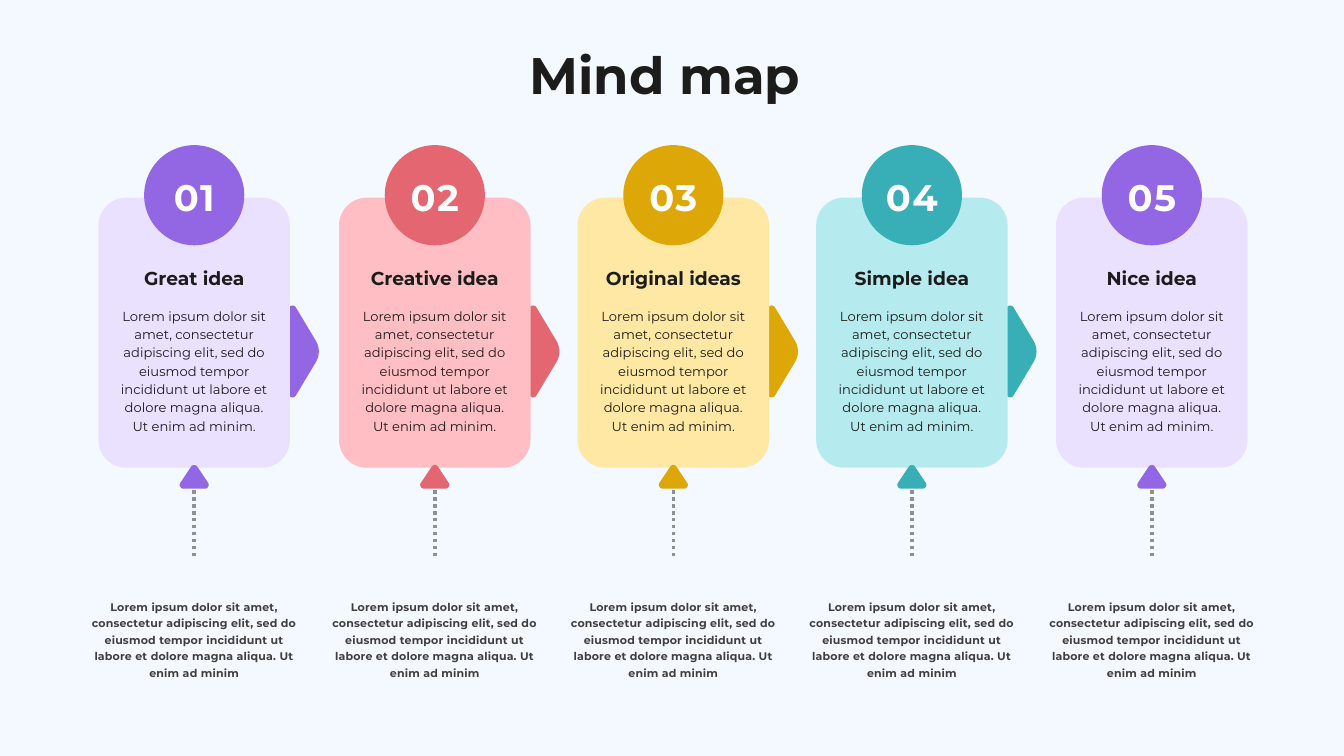
from lxml.etree import SubElement
from pptx import Presentation
from pptx.dml.color import RGBColor
from pptx.enum.dml import MSO_LINE
from pptx.enum.shapes import MSO_CONNECTOR, MSO_SHAPE
from pptx.enum.text import MSO_AUTO_SIZE, PP_ALIGN
from pptx.oxml.ns import qn
from pptx.util import Inches, Pt

COLUMNS, ROWS = 20, 11.25
BACKGROUND = RGBColor(0xF4, 0xF8, 0xFF)
INK = RGBColor(0x1C, 0x1C, 0x1A)
DARK_GREY = RGBColor(0x40, 0x3F, 0x3F)
GREY = RGBColor(0x8D, 0x91, 0x93)
WHITE = RGBColor(0xFF, 0xFF, 0xFF)
PURPLE, LILAC = RGBColor(0x93, 0x66, 0xE4), RGBColor(0xEA, 0xE0, 0xFF)
RED, PINK = RGBColor(0xE4, 0x66, 0x71), RGBColor(0xFF, 0xBE, 0xC4)
GOLD, CREAM = RGBColor(0xDD, 0xA7, 0x07), RGBColor(0xFF, 0xE8, 0xA3)
TEAL, AQUA = RGBColor(0x38, 0xAE, 0xB6), RGBColor(0xB5, 0xEB, 0xEF)

CARD_TOP, CARD_WIDTH, CARD_HEIGHT, CARD_RADIUS = 2.94, 2.85, 4.02, 0.415
BADGE_TOP, BADGE_SIZE = 2.16, 1.49

# Heading, centre column, strong and pale colour
IDEAS = [
    ("Great idea", 2.89, PURPLE, LILAC),
    ("Creative idea", 6.47, RED, PINK),
    ("Original ideas", 10.02, GOLD, CREAM),
    ("Simple idea", 13.57, TEAL, AQUA),
    ("Nice idea", 17.14, PURPLE, LILAC),
]
RESPONSIBLE = (
    "Lorem ipsum dolor sit amet, consectetur adipiscing elit, sed do eiusmod "
    "tempor incididunt ut labore et dolore magna aliqua. Ut enim ad minim"
)
DESCRIPTION = RESPONSIBLE + "."

# Rounded corners as cubic curves: columns from the card's centre, rows
CHEVRON = [
    [(1.41, 4.6), (1.41, 4.54), (1.48, 4.53), (1.51, 4.57)],
    [(1.81, 5.07), (1.87, 5.17), (1.87, 5.29), (1.81, 5.39)],
    [(1.51, 5.89), (1.48, 5.93), (1.41, 5.92), (1.41, 5.86)],
]
POINTER = [
    [(-0.05, 6.95), (-0.03, 6.91), (0.03, 6.91), (0.05, 6.95)],
    [(0.21, 7.19), (0.23, 7.22), (0.2, 7.27), (0.17, 7.27)],
    [(-0.17, 7.27), (-0.2, 7.27), (-0.23, 7.22), (-0.21, 7.19)],
]


def curve_points(curve, steps=10):
    """Sample a cubic Bezier curve, both ends included."""
    for step in range(steps + 1):
        t = step / steps
        weights = ((1 - t) ** 3, 3 * t * (1 - t) ** 2, 3 * t * t * (1 - t), t ** 3)
        yield tuple(sum(w * point[axis] for w, point in zip(weights, curve))
                    for axis in (0, 1))


class MindMap:
    """Draws on one slide; lengths are columns and rows of the grid."""

    font = "Montserrat"

    def __init__(self, presentation):
        self.column = presentation.slide_width / COLUMNS
        self.row = presentation.slide_height / ROWS
        self.slide = presentation.slides.add_slide(presentation.slide_layouts[6])
        fill = self.slide.background.fill
        fill.solid()
        fill.fore_color.rgb = BACKGROUND

    def place(self, x, y):
        return round(x * self.column), round(y * self.row)

    def paint(self, shape, color):
        shape.shadow.inherit = False
        shape.fill.solid()
        shape.fill.fore_color.rgb = color
        shape.line.fill.background()
        return shape

    def block(self, preset, center, top, width, height, color):
        shape = self.slide.shapes.add_shape(
            preset, *self.place(center - width / 2, top), *self.place(width, height))
        return self.paint(shape, color)

    def rounded_outline(self, corners, center, color):
        """Join the curved corners with straight sides."""
        points = [self.place(center + x, y)
                  for corner in corners for x, y in curve_points(corner)]
        builder = self.slide.shapes.build_freeform(*points[0])
        builder.add_line_segments(points[1:], close=True)
        self.paint(builder.convert_to_shape(), color)

    def dotted_arrow(self, center, start, end):
        arrow = self.slide.shapes.add_connector(
            MSO_CONNECTOR.STRAIGHT, *self.place(center, start), *self.place(center, end))
        arrow.line.color.rgb = GREY
        arrow.line.width = Pt(3.75)
        arrow.line.dash_style = MSO_LINE.ROUND_DOT
        SubElement(arrow.line._get_or_add_ln(), qn("a:tailEnd"), type="triangle")
        SubElement(arrow._element.spPr, qn("a:effectLst"))

    def text(self, words, center, top, width, height, size, leading,
             color=INK, bold=True, tracking=0):
        frame = self.slide.shapes.add_textbox(
            *self.place(center - width / 2, top), *self.place(width, height)).text_frame
        frame.margin_left = frame.margin_right = 0
        frame.margin_top = frame.margin_bottom = 0
        frame.word_wrap = True
        frame.auto_size = MSO_AUTO_SIZE.SHAPE_TO_FIT_TEXT
        paragraph = frame.paragraphs[0]
        paragraph.alignment = PP_ALIGN.CENTER
        paragraph.line_spacing = Pt(leading)
        run = paragraph.add_run()
        run.text = words
        run.font.name = self.font
        run.font.size = Pt(size)
        run.font.bold = bold
        run.font.color.rgb = color
        if tracking:
            run._r.get_or_add_rPr().set("spc", str(round(tracking * 100)))

    def idea(self, number, heading, center, strong, pale):
        if number < len(IDEAS):
            self.rounded_outline(CHEVRON, center, strong)
        card = self.block(MSO_SHAPE.ROUNDED_RECTANGLE, center, CARD_TOP,
                          CARD_WIDTH, CARD_HEIGHT, pale)
        card.adjustments[0] = CARD_RADIUS / CARD_WIDTH
        self.block(MSO_SHAPE.OVAL, center, BADGE_TOP, BADGE_SIZE, BADGE_SIZE, strong)
        self.text(f"{number:02}", center, 2.49, 1.01, 0.73, 39.5, 55.3,
                  color=WHITE, tracking=1.6)
        self.text(heading, center, 3.92, 2.19, 0.36, 20, 28)
        self.text(DESCRIPTION, center, 4.55, 2.28, 1.89, 14, 19.6, bold=False)
        self.dotted_arrow(center, 8.28, 7.07)
        self.rounded_outline(POINTER, center, strong)
        self.text(RESPONSIBLE, center, 8.88, 3.07, 1.19, 11.8, 17.8,
                  color=DARK_GREY, tracking=0.24)


def main():
    presentation = Presentation()
    presentation.slide_width = Inches(20)
    presentation.slide_height = Inches(11.25)
    mind_map = MindMap(presentation)
    mind_map.text("Mind map ", COLUMNS / 2, 0.75, 7.71, 0.84, 55, 58.3)
    for number, idea in enumerate(IDEAS, start=1):
        mind_map.idea(number, *idea)
    presentation.save("out.pptx")


if __name__ == "__main__":
    main()
